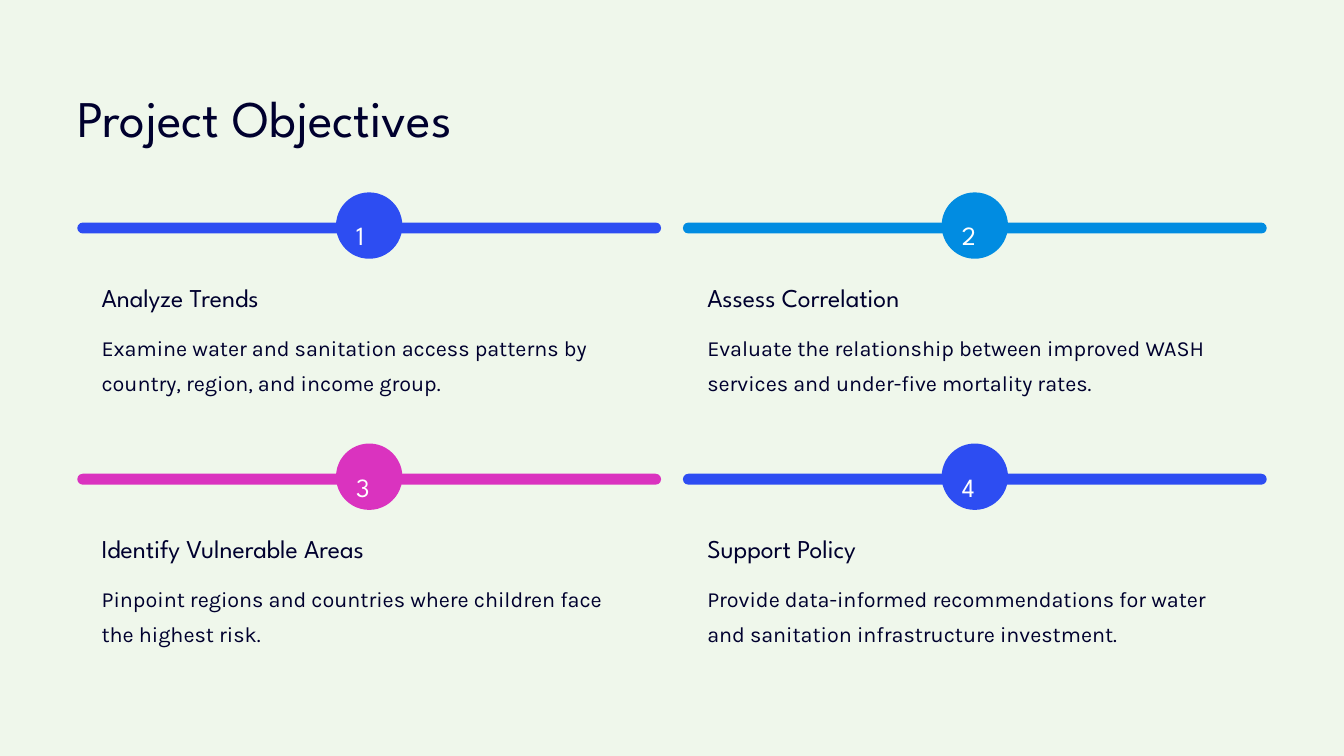
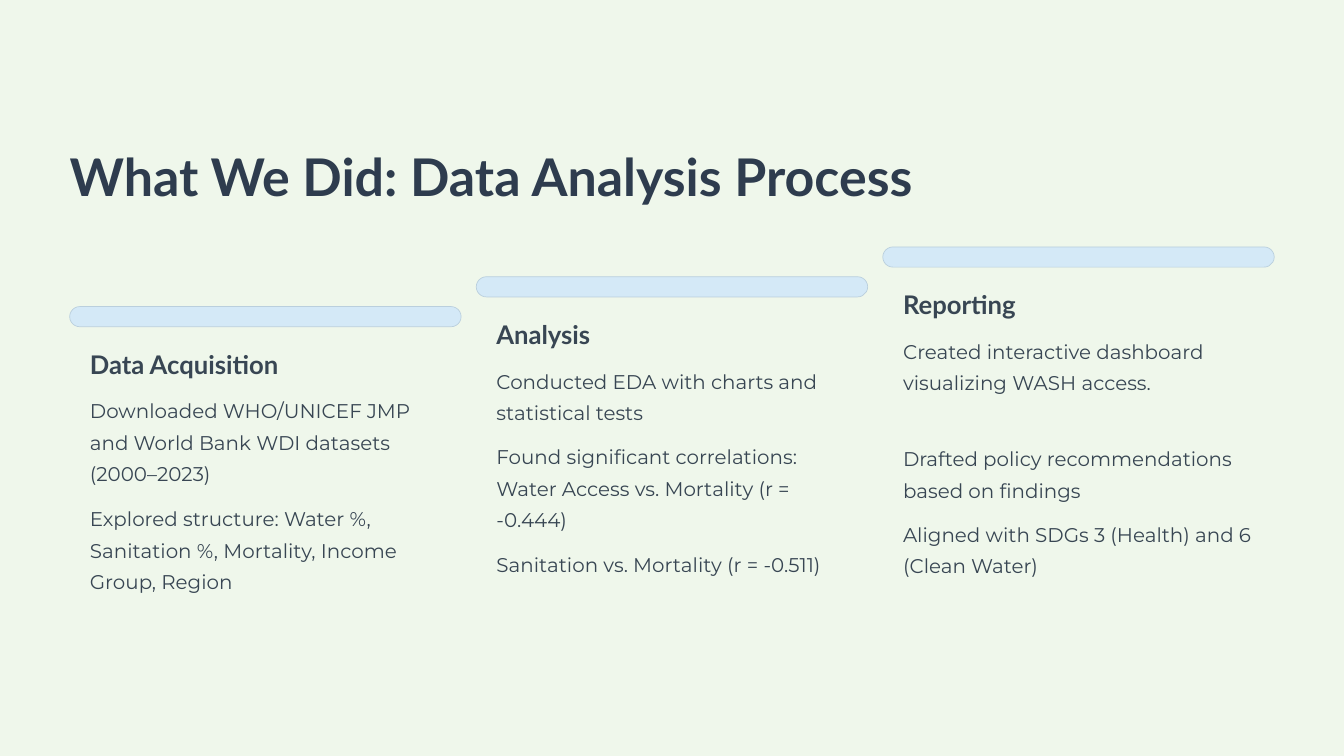
from dataclasses import dataclass, field
from itertools import product

from pptx import Presentation
from pptx.dml.color import RGBColor
from pptx.enum.shapes import MSO_SHAPE
from pptx.util import Inches, Pt

COLS, ROWS = 16, 9


def style(name, size, lead, color, bold=False):
    return {
        "font": {"name": name, "size": Pt(size), "bold": bold},
        "lead": Pt(lead),
        "color": color,
    }


@dataclass(frozen=True)
class Theme:
    back: str = "EFF7EB"
    blue: str = "2D4DF2"
    sky: str = "018CE1"
    pink: str = "DA33BF"
    pale: str = "D4E9F7"
    edge: str = "BACFDD"
    text: dict = field(default_factory=lambda: {
        "goal title": style("League Spartan", 44, 55, "00002E"),
        "goal head": style("League Spartan", 22, 27.5, "00002E"),
        "goal body": style("Karla", 18.5, 30, "00002E"),
        "number": style("League Spartan", 22.5, 36, "FFFFFF"),
        "step title": style("Lato", 44.5, 56, "2E3C4E", True),
        "step head": style("Lato", 22, 28, "384653", True),
        "step body": style("Montserrat", 17, 27, "384653"),
    })


class Deck:
    def __init__(self, theme):
        self.theme = theme
        self.file = Presentation()
        self.file.slide_width = Inches(16)
        self.file.slide_height = Inches(9)
        self.slide = None

    def place(self, col, row, wide, high):
        x, y = self.file.slide_width / COLS, self.file.slide_height / ROWS
        return [round(v) for v in (col * x, row * y, wide * x, high * y)]

    def page(self):
        self.slide = self.file.slides.add_slide(self.file.slide_layouts[6])
        fill = self.slide.background.fill
        fill.solid()
        fill.fore_color.rgb = RGBColor.from_string(self.theme.back)

    def text(self, words, kind, *area):
        look = self.theme.text[kind]
        frame = self.slide.shapes.add_textbox(*self.place(*area)).text_frame
        form = {"word_wrap": True, "margin_left": 0, "margin_top": 0,
                "margin_right": 0, "margin_bottom": 0}
        for key, value in form.items():
            setattr(frame, key, value)
        para = frame.paragraphs[0]
        para.line_spacing = look["lead"]
        run = para.add_run()
        run.text = words
        for key, value in look["font"].items():
            setattr(run.font, key, value)
        run.font.color.rgb = RGBColor.from_string(look["color"])

    def pill(self, color, *area, edge=None):
        shape = self.slide.shapes.add_shape(
            MSO_SHAPE.ROUNDED_RECTANGLE, *self.place(*area))
        shape.shadow.inherit = False
        shape.adjustments[0] = 0.5
        shape.fill.solid()
        shape.fill.fore_color.rgb = RGBColor.from_string(color)
        if edge:
            shape.line.color.rgb = RGBColor.from_string(edge)
            shape.line.width = Pt(0.6)
        else:
            shape.line.fill.background()

    def goal(self, number, color, head, body, col, row):
        self.pill(color, col, row, 6.95, 0.13)
        self.pill(color, col + 3.08, row - 0.36, 0.79, 0.79)
        self.text(str(number), "number", col + 3.32, row - 0.16, 0.31, 0.39)
        self.text(head, "goal head", col + 0.29, row + 0.69, 6.36, 0.38)
        self.text(body, "goal body", col + 0.29, row + 1.23, 6.36, 0.84)

    def step(self, head, items, col, row):
        self.pill(self.theme.pale, col, row, 4.66, 0.24, edge=self.theme.edge)
        self.text(head, "step head", col + 0.24, row + 0.48, 4.19, 0.39)
        top = row + 1.01
        for words, lines in items:
            high = lines * 0.38
            self.text(words, "step body", col + 0.24, top, 4.19, high)
            top += high + 0.14


def goals(deck):
    theme = deck.theme
    data = [
        (theme.blue, "Analyze Trends",
         "Examine water and sanitation access patterns by country, region, "
         "and income group."),
        (theme.sky, "Assess Correlation",
         "Evaluate the relationship between improved WASH services and "
         "under-five mortality rates."),
        (theme.pink, "Identify Vulnerable Areas",
         "Pinpoint regions and countries where children face the highest "
         "risk."),
        (theme.blue, "Support Policy",
         "Provide data-informed recommendations for water and sanitation "
         "infrastructure investment."),
    ]
    deck.page()
    deck.text("Project Objectives", "goal title", 0.92, 1, 14.16, 0.77)
    cells = product(range(2), repeat=2)
    for number, (goal, (row, col)) in enumerate(zip(data, cells), 1):
        deck.goal(number, *goal, 0.92 + 7.21 * col, 2.65 + 2.99 * row)


def steps(deck):
    data = [
        ("Data Acquisition", [
            ("Downloaded WHO/UNICEF JMP and World Bank WDI datasets "
             "(2000–2023)", 3),
            ("Explored structure: Water %, Sanitation %, Mortality, Income "
             "Group, Region", 3),
        ]),
        ("Analysis", [
            ("Conducted EDA with charts and statistical tests", 2),
            ("Found significant correlations: Water Access vs. Mortality "
             "(r = -0.444)", 3),
            ("Sanitation vs. Mortality (r = -0.511)", 1),
        ]),
        ("Reporting", [
            ("Created interactive dashboard visualizing WASH access.", 3),
            ("Drafted policy recommendations based on findings", 2),
            ("Aligned with SDGs 3 (Health) and 6 (Clean Water)", 2),
        ]),
    ]
    deck.page()
    deck.text("What We Did: Data Analysis Process", "step title",
              0.83, 1.69, 14.34, 0.78)
    for place, (head, items) in enumerate(data):
        deck.step(head, items, 0.83 + 4.84 * place, 3.65 - 0.355 * place)


def main():
    deck = Deck(Theme())
    goals(deck)
    steps(deck)
    deck.file.save("out.pptx")


if __name__ == "__main__":
    main()
